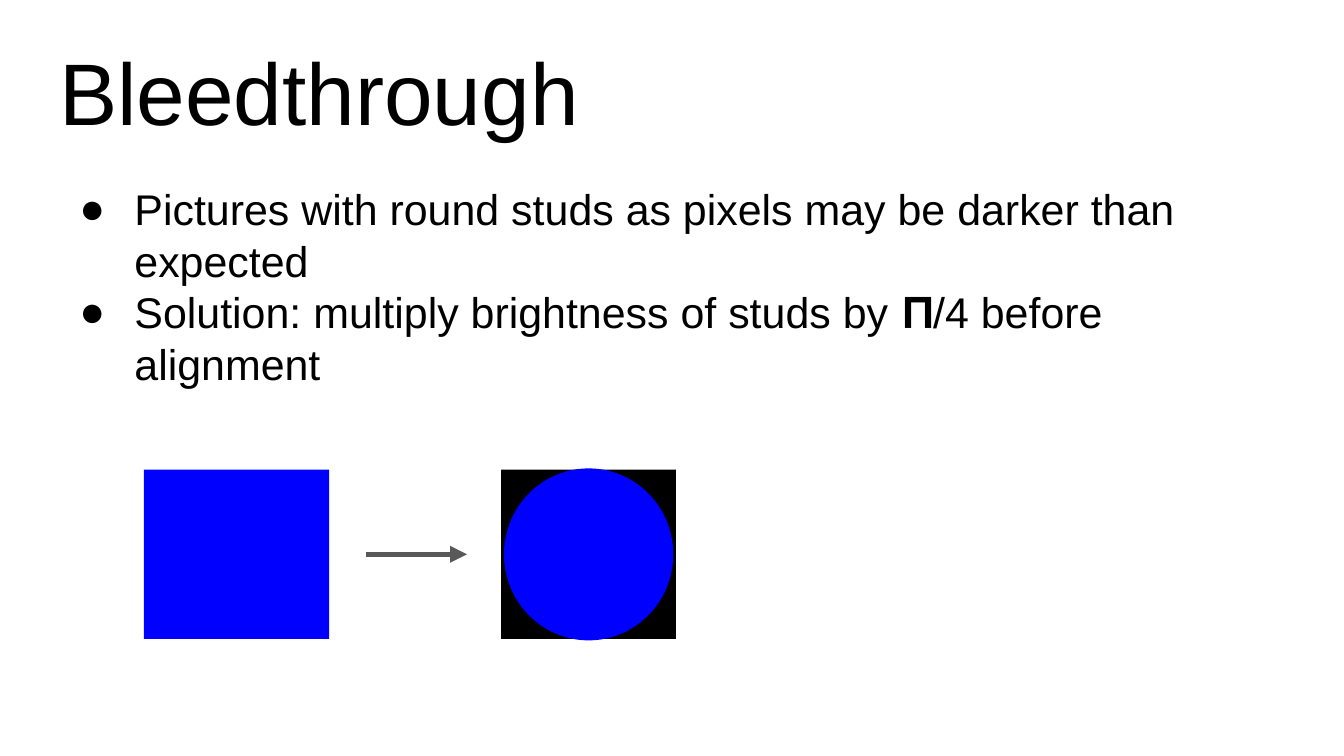
from dataclasses import dataclass

import pptx
import pptx.dml.color
import pptx.enum.shapes
import pptx.enum.text
import pptx.oxml.ns
import pptx.util
from lxml import etree
from pptx.slide import Slide

PX = 4572


@dataclass(frozen=True)
class Theme:
    font: str = "Arial"
    ink: str = "000000"
    stud: str = "0000FF"
    arrow: str = "595959"
    title_size: float = 46.8
    body_size: float = 23


@dataclass(frozen=True)
class Box:
    left: int
    top: int
    width: int
    height: int

    def emu(self) -> tuple[int, int, int, int]:
        return self.left * PX, self.top * PX, self.width * PX, self.height * PX


@dataclass(frozen=True)
class Tile:
    box: Box
    preset: pptx.enum.shapes.MSO_SHAPE
    color: str


THEME = Theme()
SHAPES = pptx.enum.shapes.MSO_SHAPE
ANCHORS = pptx.enum.text.MSO_ANCHOR
POINTS = [
    "Pictures with round studs as pixels may be darker than expected",
    "Solution: multiply brightness of studs by 𝚷/4 before alignment",
]
TILES = [
    Tile(Box(214, 699, 276, 252), SHAPES.RECTANGLE, THEME.stud),
    Tile(Box(746, 699, 260, 252), SHAPES.RECTANGLE, THEME.ink),
    Tile(Box(750, 697, 252, 256), SHAPES.FLOWCHART_CONNECTOR, THEME.stud),
]


def rgb(color: str) -> pptx.dml.color.RGBColor:
    return pptx.dml.color.RGBColor.from_string(color)


def fill_placeholder(holder, box: Box, lines: list[str], size: float, anchor, bulleted: bool = False) -> None:
    holder.left, holder.top, holder.width, holder.height = box.emu()
    frame = holder.text_frame
    frame.text = "\n".join(lines)
    frame.word_wrap = True
    frame.auto_size = pptx.enum.text.MSO_AUTO_SIZE.NONE
    frame.vertical_anchor = anchor
    frame.margin_left = frame.margin_right = frame.margin_top = frame.margin_bottom = 20 * PX
    for paragraph in frame.paragraphs:
        paragraph.alignment = pptx.enum.text.PP_ALIGN.LEFT
        paragraph.space_before = pptx.util.Pt(0)
        if bulleted:
            add_bullet(paragraph)
        for run in paragraph.runs:
            run.font.name = THEME.font
            run.font.size = pptx.util.Pt(size)
            run.font.color.rgb = rgb(THEME.ink)


def add_bullet(paragraph) -> None:
    qn = pptx.oxml.ns.qn
    properties = paragraph._p.get_or_add_pPr()
    properties.set("marL", str(100 * PX))
    properties.set("indent", str(-82 * PX))
    bullet_color = etree.SubElement(properties, qn("a:buClr"))
    etree.SubElement(bullet_color, qn("a:srgbClr"), val=THEME.ink)
    etree.SubElement(properties, qn("a:buFont"), typeface=THEME.font)
    etree.SubElement(properties, qn("a:buChar"), char="●")


def draw_tile(slide: Slide, tile: Tile) -> None:
    shape = slide.shapes.add_shape(tile.preset, *tile.box.emu())
    shape.shadow.inherit = False
    shape.fill.solid()
    shape.fill.fore_color.rgb = rgb(tile.color)
    shape.line.fill.background()


def draw_arrow(slide: Slide, start: int, end: int, y: int) -> None:
    arrow = slide.shapes.add_connector(
        pptx.enum.shapes.MSO_CONNECTOR.STRAIGHT, start * PX, y * PX, end * PX, y * PX
    )
    arrow.line.color.rgb = rgb(THEME.arrow)
    arrow.line.width = pptx.util.Pt(3)
    qn = pptx.oxml.ns.qn
    etree.SubElement(arrow.line._get_or_add_ln(), qn("a:tailEnd"), type="triangle")
    etree.SubElement(arrow._element.spPr, qn("a:effectLst"))


def main() -> None:
    deck = pptx.Presentation()
    deck.slide_width, deck.slide_height = 2000 * PX, 1125 * PX
    slide = deck.slides.add_slide(deck.slide_layouts[1])
    fill_placeholder(
        slide.shapes.title, Box(68, 47, 1864, 186), ["Bleedthrough"], THEME.title_size, ANCHORS.BOTTOM
    )
    fill_placeholder(
        slide.placeholders[1], Box(80, 252, 1852, 350), POINTS, THEME.body_size, ANCHORS.TOP, bulleted=True
    )
    for tile in TILES:
        draw_tile(slide, tile)
    draw_arrow(slide, 544, 695, 825)
    deck.save("out.pptx")


if __name__ == "__main__":
    main()
